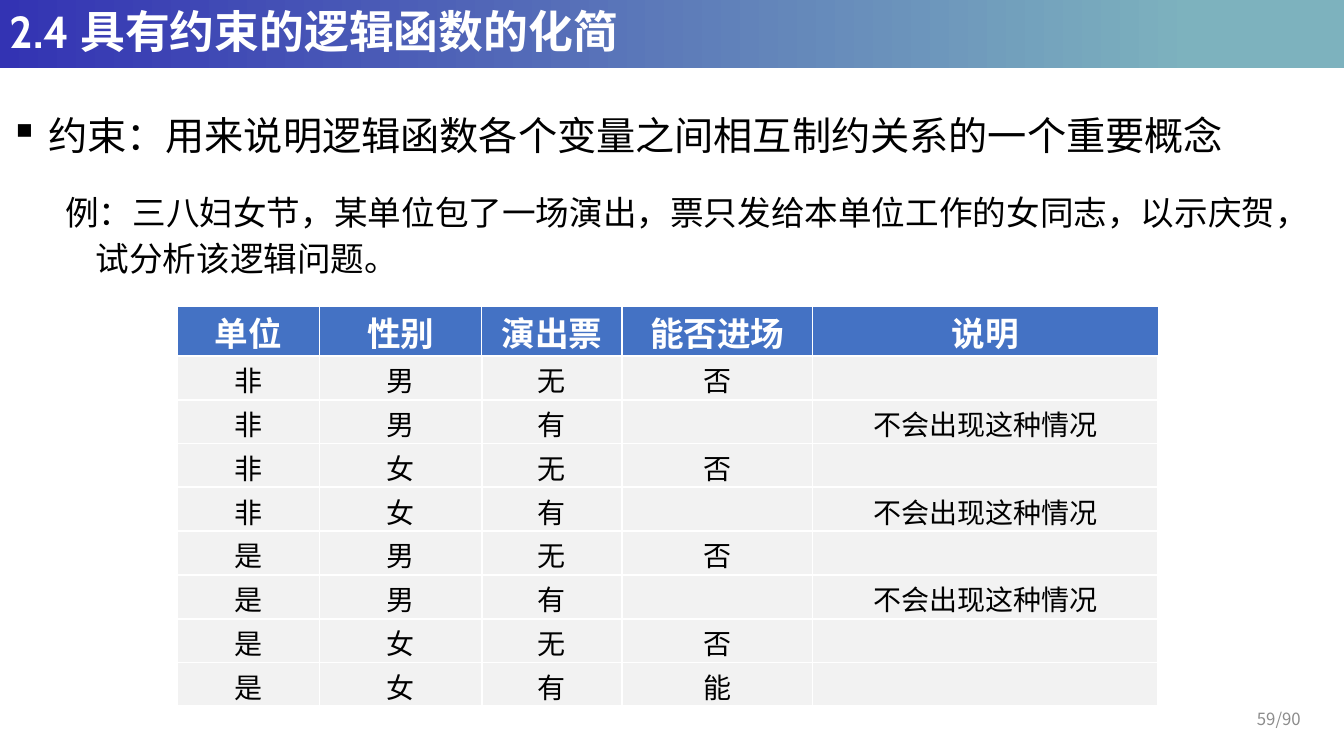
from dataclasses import dataclass

from lxml import etree
from pptx import Presentation
from pptx.dml.color import RGBColor
from pptx.enum.shapes import MSO_SHAPE
from pptx.enum.text import MSO_ANCHOR, PP_ALIGN
from pptx.oxml.ns import qn
from pptx.util import Inches, Pt

RECTANGLE = MSO_SHAPE.RECTANGLE
TOP, MIDDLE, BOTTOM = MSO_ANCHOR.TOP, MSO_ANCHOR.MIDDLE, MSO_ANCHOR.BOTTOM
LEFT, CENTER, RIGHT = PP_ALIGN.LEFT, PP_ALIGN.CENTER, PP_ALIGN.RIGHT


@dataclass(frozen=True)
class Theme:
    latin_font: str = "Cabin"
    chinese_font: str = "Noto Sans CJK SC"
    white: str = "FFFFFF"
    black: str = "000000"
    gray: str = "8C8C8C"
    banner_start: str = "3333B3"
    banner_end: str = "7DB2BE"
    header_fill: str = "4472C4"
    body_fill: str = "F2F2F2"
    title_size: int = 32
    point_size: int = 28
    example_size: int = 24
    body_size: int = 20
    number_size: int = 12


@dataclass(frozen=True)
class Box:
    left: float
    top: float
    width: float
    height: float

    def lengths(self) -> tuple:
        return tuple(map(Inches, (self.left, self.top, self.width, self.height)))


@dataclass(frozen=True)
class RowStyle:
    height: float
    fill: str
    color: str
    size: int
    bold: bool
    edge: float


THEME = Theme()
BANNER = Box(0, 0, 13.33, 0.68)
TABLE = Box(1.76, 3.04, 9.73, 3.97)
COLUMN_WIDTHS = (1.41, 1.61, 1.39, 1.89, 3.43)
HEADERS = ("单位", "性别", "演出票", "能否进场", "说明")
IMPOSSIBLE = "不会出现这种情况"
HEADER_HEIGHT = 0.49
BODY_EDGE = 1.5
HEADER_STYLE = RowStyle(HEADER_HEIGHT, THEME.header_fill, THEME.white,
                        THEME.example_size, True, 1)
BODY_STYLE = RowStyle((TABLE.height - HEADER_HEIGHT) / 8, THEME.body_fill, THEME.black,
                      THEME.body_size, False, BODY_EDGE)


def write_text(paragraph, text: str, *, size: int, color: str = THEME.black,
               font: str = THEME.chinese_font, bold: bool = False,
               align: PP_ALIGN = LEFT, spacing: float = 1.0) -> None:
    paragraph.alignment = align
    paragraph.line_spacing = spacing
    run = paragraph.add_run()
    run.text = text
    run.font.size = Pt(size)
    run.font.bold = bold
    run.font.color.rgb = RGBColor.from_string(color)
    run.font.name = font
    east_asian = etree.SubElement(run.font._element, qn("a:ea"))
    east_asian.set("typeface", THEME.chinese_font)


def add_text_frame(slide, box: Box, anchor: MSO_ANCHOR = TOP):
    frame = slide.shapes.add_textbox(*box.lengths()).text_frame
    frame.word_wrap = True
    frame.vertical_anchor = anchor
    return frame


def set_indent(paragraph, margin: float, first_line: float, bullet: str = "") -> None:
    properties = paragraph._p.get_or_add_pPr()
    properties.set("marL", str(Inches(margin)))
    properties.set("indent", str(Inches(first_line)))
    if bullet:
        etree.SubElement(properties, qn("a:buChar")).set("char", bullet)


def add_banner(slide) -> None:
    banner = slide.shapes.add_shape(RECTANGLE, *BANNER.lengths())
    banner.shadow.inherit = False
    banner.line.fill.background()
    banner.fill.gradient()
    banner.fill.gradient_angle = 0
    start, end = banner.fill.gradient_stops
    start.position, end.position = 0, 0.89
    start.color.rgb = RGBColor.from_string(THEME.banner_start)
    end.color.rgb = RGBColor.from_string(THEME.banner_end)


def set_borders(cell, edge: float) -> None:
    properties = cell._tc.get_or_add_tcPr()
    for side, width in (("L", edge), ("R", edge), ("T", edge), ("B", BODY_EDGE)):
        line = etree.SubElement(properties, qn(f"a:ln{side}"), w=str(Pt(width)))
        fill = etree.SubElement(line, qn("a:solidFill"))
        etree.SubElement(fill, qn("a:srgbClr"), val=THEME.white)


def fill_cell(cell, text: str, style: RowStyle) -> None:
    set_borders(cell, style.edge)
    cell.fill.solid()
    cell.fill.fore_color.rgb = RGBColor.from_string(style.fill)
    cell.margin_top = cell.margin_bottom = 0
    cell.vertical_anchor = BOTTOM
    if text:
        write_text(cell.text_frame.paragraphs[0], text, size=style.size,
                   color=style.color, bold=style.bold, align=CENTER)


def truth_rows() -> list[tuple[str, ...]]:
    rows = []
    for unit in ("非", "是"):
        for gender in ("男", "女"):
            for ticket in ("无", "有"):
                if ticket == "无":
                    outcome = ("否", "")
                elif (unit, gender) == ("是", "女"):
                    outcome = ("能", "")
                else:
                    outcome = ("", IMPOSSIBLE)
                rows.append((unit, gender, ticket, *outcome))
    return rows


def add_truth_table(slide) -> None:
    rows = [HEADERS, *truth_rows()]
    table = slide.shapes.add_table(len(rows), len(HEADERS), *TABLE.lengths()).table
    table.horz_banding = False
    for column, width in zip(table.columns, COLUMN_WIDTHS):
        column.width = Inches(width)
    for index, (row, texts) in enumerate(zip(table.rows, rows)):
        style = BODY_STYLE if index else HEADER_STYLE
        row.height = Inches(style.height)
        for cell, text in zip(row.cells, texts):
            fill_cell(cell, text, style)


def main() -> None:
    presentation = Presentation()
    presentation.slide_width = Inches(13.33)
    presentation.slide_height = Inches(7.5)
    slide = presentation.slides.add_slide(presentation.slide_layouts[6])

    add_banner(slide)
    title = add_text_frame(slide, BANNER, MIDDLE)
    write_text(title.paragraphs[0], "2.4 具有约束的逻辑函数的化简", size=THEME.title_size,
               color=THEME.white, font=THEME.latin_font, bold=True, spacing=0.9)

    point = add_text_frame(slide, Box(0, 0.99, 13.33, 0.62)).paragraphs[0]
    set_indent(point, 0.38, -0.38, "▪")
    write_text(point, "约束：用来说明逻辑函数各个变量之间相互制约关系的一个重要概念",
               size=THEME.point_size, font=THEME.latin_font, spacing=1.14)

    example = add_text_frame(slide, Box(0.55, 1.8, 12.23, 0.96))
    opening = example.paragraphs[0]
    write_text(opening, "例：", size=THEME.example_size, font=THEME.latin_font, spacing=1.14)
    write_text(opening, "三八妇女节，某单位包了一场演出，票只发给本单位工作的女同志，以示庆贺，",
               size=THEME.example_size, spacing=1.14)
    task = example.add_paragraph()
    set_indent(task, 0.3, 0)
    write_text(task, "试分析该逻辑问题。", size=THEME.example_size, spacing=1.14)

    add_truth_table(slide)
    number = add_text_frame(slide, Box(10, 6.93, 3, 0.4), MIDDLE)
    write_text(number.paragraphs[0], "59/90", size=THEME.number_size,
               color=THEME.gray, align=RIGHT)
    presentation.save("out.pptx")


if __name__ == "__main__":
    main()
